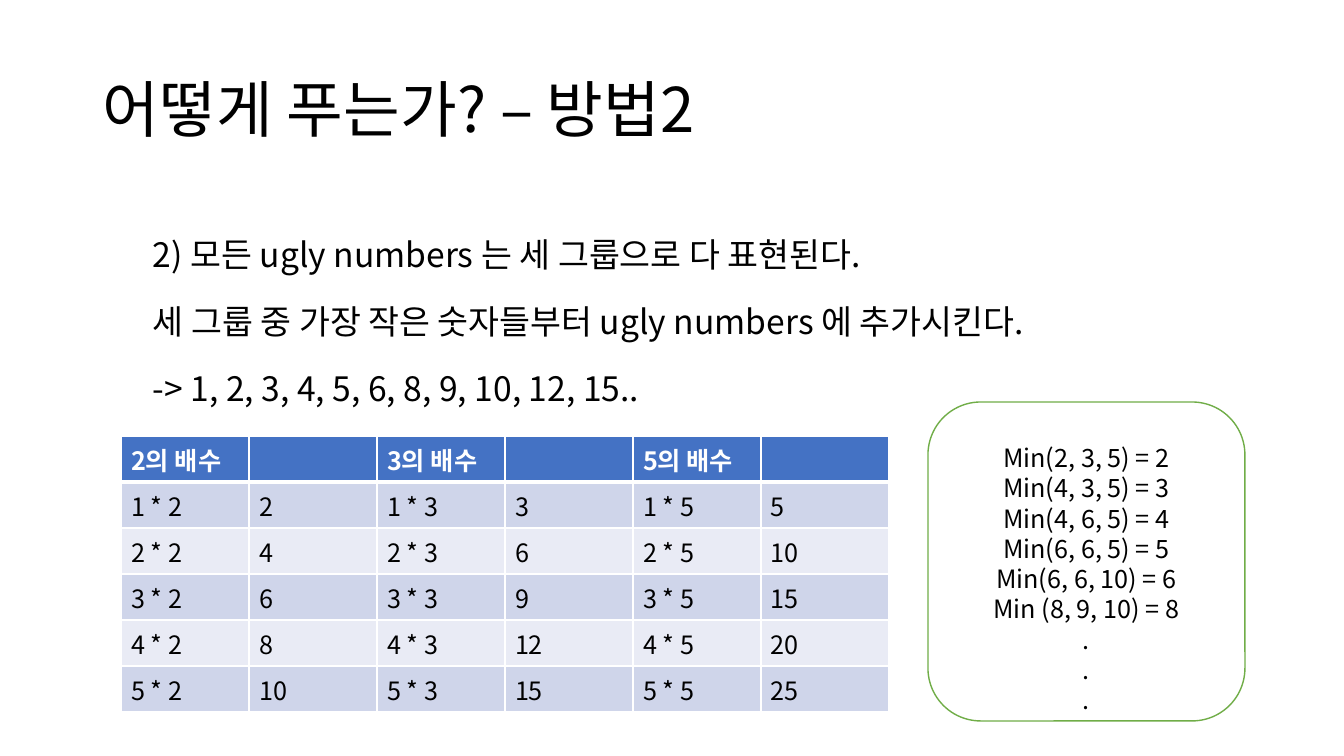
from dataclasses import dataclass

from lxml.etree import SubElement
from pptx import Presentation
from pptx.dml.color import RGBColor
from pptx.enum.shapes import MSO_SHAPE
from pptx.enum.text import MSO_ANCHOR, PP_ALIGN
from pptx.oxml.ns import qn
from pptx.util import Emu, Pt

PIXEL = 914400 / 100.8


@dataclass(frozen=True)
class Theme:
    font: str = "Noto Sans CJK KR"
    ink: str = "000000"
    white: str = "FFFFFF"
    header: str = "4472C4"
    bands: tuple[str, str] = ("CFD5EA", "E9EBF5")
    outline: str = "70AD47"
    title_size: int = 44
    body_size: int = 24
    small_size: int = 18


@dataclass(frozen=True)
class Box:
    left: int
    top: int
    width: int
    height: int

    def emu(self) -> tuple[Emu, ...]:
        return tuple(pixels(n) for n in (self.left, self.top, self.width, self.height))


@dataclass(frozen=True)
class MultipleGroup:
    factor: int
    count: int = 5

    def columns(self) -> tuple[list[str], list[str]]:
        steps = range(1, self.count + 1)
        products = [f"{step} * {self.factor}" for step in steps]
        values = [str(step * self.factor) for step in steps]
        return [f"{self.factor}의 배수", *products], ["", *values]


THEME = Theme()
TITLE_BOX = Box(93, 40, 1159, 146)
BODY_BOX = Box(143, 209, 1109, 210)
TABLE_BOX = Box(121, 436, 768, 276)
MINIMUM_BOX = Box(928, 402, 317, 319)

TITLE = "어떻게 푸는가? – 방법2"
BODY = """2) 모든 ugly numbers 는 세 그룹으로 다 표현된다.
세 그룹 중 가장 작은 숫자들부터 ugly numbers 에 추가시킨다.
-> 1, 2, 3, 4, 5, 6, 8, 9, 10, 12, 15.."""
MINIMUMS = """Min(2, 3, 5) = 2
Min(4, 3, 5) = 3
Min(4, 6, 5) = 4
Min(6, 6, 5) = 5
Min(6, 6, 10) = 6
Min (8, 9, 10) = 8
.
.
."""
GROUPS = [MultipleGroup(factor) for factor in (2, 3, 5)]


def pixels(count: int) -> Emu:
    return Emu(round(count * PIXEL))


def write_text(frame, text: str, *, size: int, color: str = THEME.ink,
               bold: bool = False, align=PP_ALIGN.LEFT, anchor=MSO_ANCHOR.TOP,
               line_spacing=None, space_after: int = 0) -> None:
    frame.word_wrap = True
    frame.vertical_anchor = anchor
    for index, line in enumerate(text.split("\n")):
        paragraph = frame.add_paragraph() if index else frame.paragraphs[0]
        paragraph.alignment = align
        paragraph.line_spacing = line_spacing
        paragraph.space_after = Pt(space_after)
        paragraph.font.size = Pt(size)
        run = paragraph.add_run()
        run.text = line
        run.font.size, run.font.bold = Pt(size), bold
        run.font.color.rgb = RGBColor.from_string(color)
        run.font.name = THEME.font
        SubElement(run.font._element, qn("a:ea"), typeface=THEME.font)


def add_text(slide, box: Box, text: str, **text_format) -> None:
    frame = slide.shapes.add_textbox(*box.emu()).text_frame
    write_text(frame, text, **text_format)


def set_borders(cell, top: int, bottom: int) -> None:
    properties = cell._tc.get_or_add_tcPr()
    for side, points in {"L": 1, "R": 1, "T": top, "B": bottom}.items():
        line = SubElement(properties, qn(f"a:ln{side}"), w=str(Pt(points)))
        fill = SubElement(line, qn("a:solidFill"))
        SubElement(fill, qn("a:srgbClr"), val=THEME.white)


def add_multiples_table(slide, box: Box, groups: list[MultipleGroup]) -> None:
    columns = [column for group in groups for column in group.columns()]
    row_count = len(columns[0])
    table = slide.shapes.add_table(row_count, len(columns), *box.emu()).table
    for column_index, column in enumerate(columns):
        for row_index, text in enumerate(column):
            is_header = row_index == 0
            cell = table.cell(row_index, column_index)
            set_borders(cell, top=3 if row_index == 1 else 1, bottom=3 if is_header else 1)
            cell.fill.solid()
            color = THEME.header if is_header else THEME.bands[(row_index - 1) % 2]
            cell.fill.fore_color.rgb = RGBColor.from_string(color)
            write_text(cell.text_frame, text, size=THEME.small_size, bold=is_header,
                       color=THEME.white if is_header else THEME.ink)


def add_rounded_box(slide, box: Box, text: str, **text_format) -> None:
    shape = slide.shapes.add_shape(MSO_SHAPE.ROUNDED_RECTANGLE, *box.emu())
    shape.shadow.inherit = False
    shape.fill.solid()
    shape.fill.fore_color.rgb = RGBColor.from_string(THEME.white)
    shape.line.color.rgb = RGBColor.from_string(THEME.outline)
    shape.line.width = Pt(1)
    shape.text_frame.margin_top = pixels(25)
    shape.text_frame.margin_bottom = 0
    write_text(shape.text_frame, text, **text_format)


presentation = Presentation()
presentation.slide_width, presentation.slide_height = pixels(1344), pixels(756)
slide = presentation.slides.add_slide(presentation.slide_layouts[6])

# Title and explanation
add_text(slide, TITLE_BOX, TITLE, size=THEME.title_size,
         anchor=MSO_ANCHOR.MIDDLE, line_spacing=0.9)
add_text(slide, BODY_BOX, BODY, size=THEME.body_size,
         line_spacing=Pt(43), space_after=5)

# Multiples of each factor
add_multiples_table(slide, TABLE_BOX, GROUPS)

# Smallest value at each step
add_rounded_box(slide, MINIMUM_BOX, MINIMUMS, size=THEME.small_size,
                align=PP_ALIGN.CENTER, line_spacing=Pt(21.6))

presentation.save("out.pptx")
